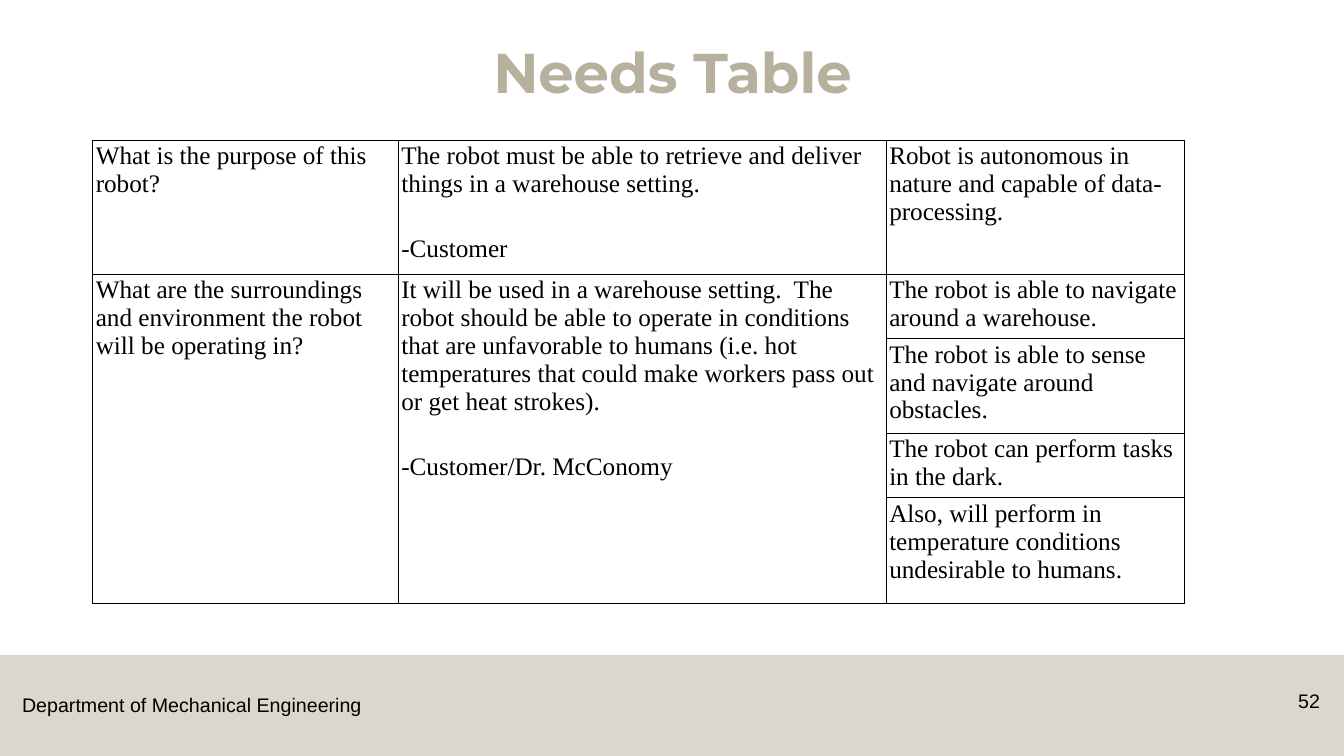
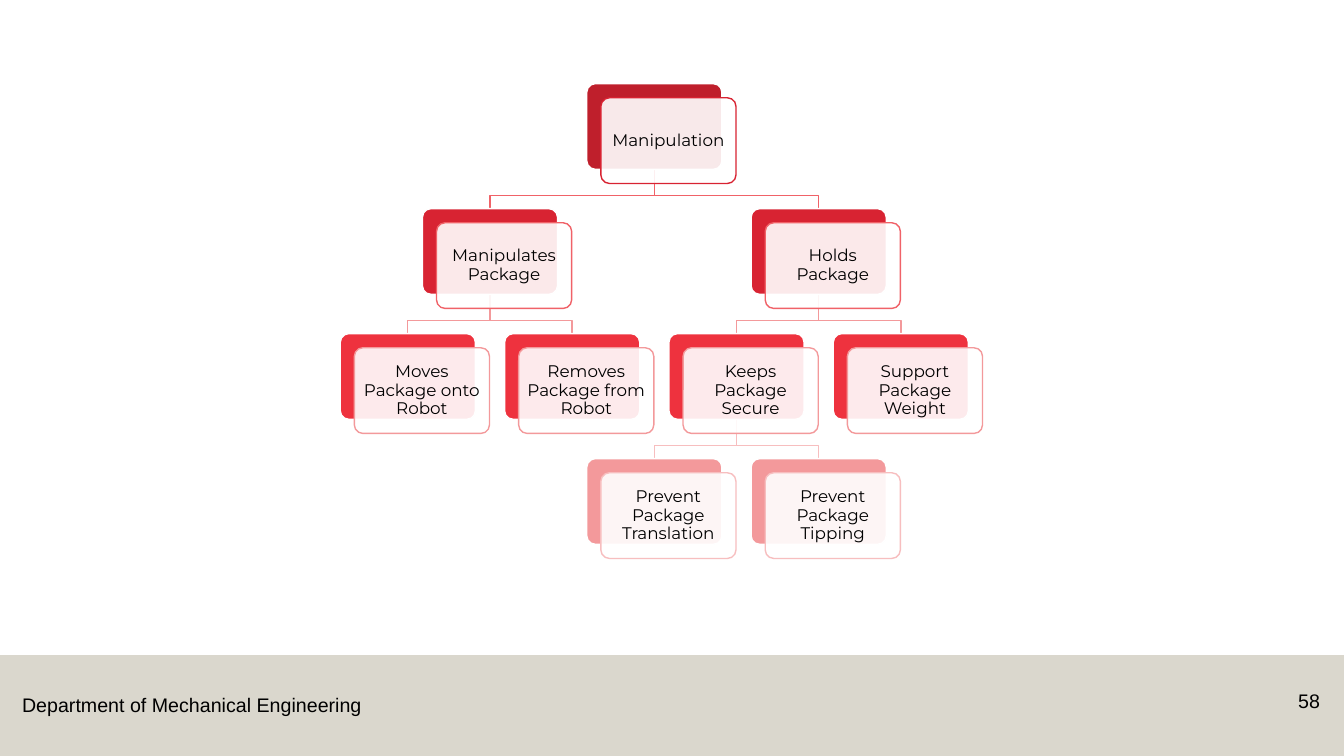
from dataclasses import dataclass

from lxml import etree
from pptx import Presentation
from pptx.dml.color import RGBColor
from pptx.enum.shapes import MSO_SHAPE
from pptx.enum.text import MSO_ANCHOR, PP_ALIGN
from pptx.oxml.ns import qn
from pptx.util import Inches, Pt

RECT, ROUND = MSO_SHAPE.RECTANGLE, MSO_SHAPE.ROUNDED_RECTANGLE
TOP, MIDDLE = MSO_ANCHOR.TOP, MSO_ANCHOR.MIDDLE
LEFT, CENTER, RIGHT = PP_ALIGN.LEFT, PP_ALIGN.CENTER, PP_ALIGN.RIGHT


@dataclass(frozen=True)
class Theme:
    tan: str = "B7B09C"
    black: str = "000000"
    white: str = "FFFFFF"
    # One colour per tree level
    backs: tuple = ("BF1F2C", "D82332", "EE323E", "F3999B")
    edges: tuple = ("D82332", "F06268", "F3999B", "F7BEBF")
    title: tuple = ("Montserrat", 40)
    foot: tuple = ("Arial", 14)
    cell: tuple = ("Times New Roman", 18)
    card: tuple = ("Montserrat", 12)


THEME = Theme()
WIDTH, HEIGHT = 13.33, 7.5

DEPT = "Department of Mechanical Engineering"
TITLE = "Needs Table"
COLS = (3.03, 4.84, 2.96)
ROWS = (1.33, 0.64, 0.93, 0.64, 1.05)
CELLS = {
    (0, 0): ["What is the purpose of this robot?"],
    (0, 1): ["The robot must be able to retrieve and deliver things "
             "in a warehouse setting.", "-Customer"],
    (0, 2): ["Robot is autonomous in nature and capable of data-processing."],
    (1, 0): ["What are the surroundings and environment the robot "
             "will be operating in?"],
    (1, 1): ["It will be used in a warehouse setting.  The robot should be "
             "able to operate in conditions that are unfavorable to humans "
             "(i.e. hot temperatures that could make workers pass out or get "
             "heat strokes).", "-Customer/Dr. McConomy"],
    (1, 2): ["The robot is able to navigate around a warehouse."],
    (2, 2): ["The robot is able to sense and navigate around obstacles."],
    (3, 2): ["The robot can perform tasks in the dark."],
    (4, 2): ["Also, will perform in temperature conditions "
             "undesirable to humans."],
}
TREE = ("Manipulation", [
    ("Manipulates Package", [
        ("Moves Package onto Robot", []),
        ("Removes Package from Robot", []),
    ]),
    ("Holds Package", [
        ("Keeps Package Secure", [
            ("Prevent Package Translation", []),
            ("Prevent Package Tipping", []),
        ]),
        ("Support Package Weight", []),
    ]),
])
ROOT_X, ROOT_Y = 6.49, 0.83
CARD_W, CARD_H, SHIFT = 1.34, 0.85, 0.14
PITCH, STEP, DROP = 1.63, 1.24, 0.26


def rgb(code):
    return RGBColor.from_string(code)


def write(frame, paras, font, color=THEME.black, align=LEFT, anchor=TOP,
          inset=(0.1, 0.05), wrap=True, bold=False, lead=1.0, gap=0):
    """Fill a text frame; gap is the space in points between paragraphs."""
    frame.word_wrap = wrap
    frame.vertical_anchor = anchor
    across, down = map(Inches, inset)
    frame.margin_left = frame.margin_right = across
    frame.margin_top = frame.margin_bottom = down
    name, size = font
    style = {"name": name, "size": Pt(size), "bold": bold}
    for i, text in enumerate(paras):
        para = frame.add_paragraph() if i else frame.paragraphs[0]
        para.alignment, para.line_spacing = align, lead
        if i:
            para.space_before = Pt(gap)
        run = para.add_run()
        run.text = text
        for key, value in style.items():
            setattr(run.font, key, value)
        run.font.color.rgb = rgb(color)


def label(slide, box, text, font, **look):
    shape = slide.shapes.add_textbox(*map(Inches, box))
    write(shape.text_frame, [text], font, **look)


def panel(slide, kind, box, fill, edge=None, alpha=100):
    shape = slide.shapes.add_shape(kind, *map(Inches, box))
    shape.shadow.inherit = False
    shape.fill.solid()
    shape.fill.fore_color.rgb = rgb(fill)
    if alpha < 100:
        color = shape.fill._xPr.find(".//" + qn("a:srgbClr"))
        etree.SubElement(color, qn("a:alpha"), val=str(alpha * 1000))
    if edge:
        shape.line.color.rgb = rgb(edge)
        shape.line.width = Pt(1)
    else:
        shape.line.fill.background()
    return shape


def new_slide(deck, number):
    slide = deck.slides.add_slide(deck.slide_layouts[6])
    panel(slide, RECT, (0, 6.5, WIDTH, 1), THEME.tan, alpha=50)
    label(slide, (0.12, 6.83, 3.59, 0.34), DEPT, THEME.foot, wrap=False)
    label(slide, (12.42, 6.79, 0.77, 0.4), str(number), THEME.foot,
          align=RIGHT)
    return slide


def frame_cell(cell):
    """Give a cell thin black borders and no fill."""
    props = cell._tc.get_or_add_tcPr()
    for side in ("lnL", "lnR", "lnT", "lnB"):
        line = etree.SubElement(props, qn("a:" + side), w=str(Pt(1)))
        fill = etree.SubElement(line, qn("a:solidFill"))
        etree.SubElement(fill, qn("a:srgbClr"), val=THEME.black)
    cell.fill.background()


def needs(deck):
    slide = new_slide(deck, 52)
    label(slide, (0.92, 0.4, 11.5, 1.45), TITLE, THEME.title,
          color=THEME.tan, align=CENTER, bold=True, lead=0.9)
    box = (0.92, 1.39, sum(COLS), sum(ROWS))
    table = slide.shapes.add_table(
        len(ROWS), len(COLS), *map(Inches, box)).table
    table.first_row = table.horz_banding = False
    for col, size in zip(table.columns, COLS):
        col.width = Inches(size)
    for row, size in zip(table.rows, ROWS):
        row.height = Inches(size)
    for cell in table.iter_cells():
        frame_cell(cell)
    for col in (0, 1):
        table.cell(1, col).merge(table.cell(len(ROWS) - 1, col))
    for (row, col), paras in CELLS.items():
        cell = table.cell(row, col)
        cell.margin_left = cell.margin_right = Inches(0.03)
        cell.margin_top = cell.margin_bottom = Inches(0.02)
        write_cell(cell, paras)


def write_cell(cell, paras):
    write(cell.text_frame, paras, THEME.cell, inset=(0.03, 0.02), gap=26.5)
    # Wrapping and insets of a cell belong to the cell itself
    body = cell.text_frame._txBody.find(qn("a:bodyPr"))
    body.attrib.clear()


def place(node, x, y, depth=0):
    """List (text, x, y, depth, parent x) for a node and all below it."""
    text, kids = node
    spots = [(text, x, y, depth, None)]
    gap = PITCH * (1 if depth else 2)
    for i, kid in enumerate(kids):
        kid_x = x + (i - (len(kids) - 1) / 2) * gap
        first, *rest = place(kid, kid_x, y + STEP, depth + 1)
        spots += [(*first[:4], x), *rest]
    return spots


def link(slide, start, x, y, color):
    """Draw a bent line from a parent's middle to the top of its child."""
    top = y - STEP + CARD_H
    points = [(start, top + DROP), (x, top + DROP), (x, y)]
    path = slide.shapes.build_freeform(
        Inches(start), Inches(top))
    path.add_line_segments(
        [(Inches(a), Inches(b)) for a, b in points], close=False)
    shape = path.convert_to_shape()
    shape.shadow.inherit = False
    shape.fill.background()
    shape.line.color.rgb = rgb(color)
    shape.line.width = Pt(1)


def card(slide, text, x, y, depth):
    left = x - CARD_W / 2
    back = panel(slide, ROUND, (left, y, CARD_W, CARD_H),
                 THEME.backs[depth], THEME.white)
    front = panel(slide, ROUND, (left + SHIFT, y + SHIFT, CARD_W, CARD_H),
                  THEME.white, THEME.edges[depth], alpha=90)
    for shape in (back, front):
        shape.adjustments[0] = 0.1
    write(front.text_frame, [text], THEME.card, align=CENTER, anchor=MIDDLE,
          inset=(0.05, 0.05), lead=0.9)


def tree(deck):
    slide = new_slide(deck, 58)
    spots = place(TREE, ROOT_X, ROOT_Y)
    for _, x, y, depth, start in spots:
        if start is not None:
            link(slide, start, x, y, THEME.edges[depth])
    for text, x, y, depth, _ in spots:
        card(slide, text, x, y, depth)


def main():
    deck = Presentation()
    deck.slide_width, deck.slide_height = Inches(WIDTH), Inches(HEIGHT)
    needs(deck)
    tree(deck)
    deck.save("out.pptx")


if __name__ == "__main__":
    main()
